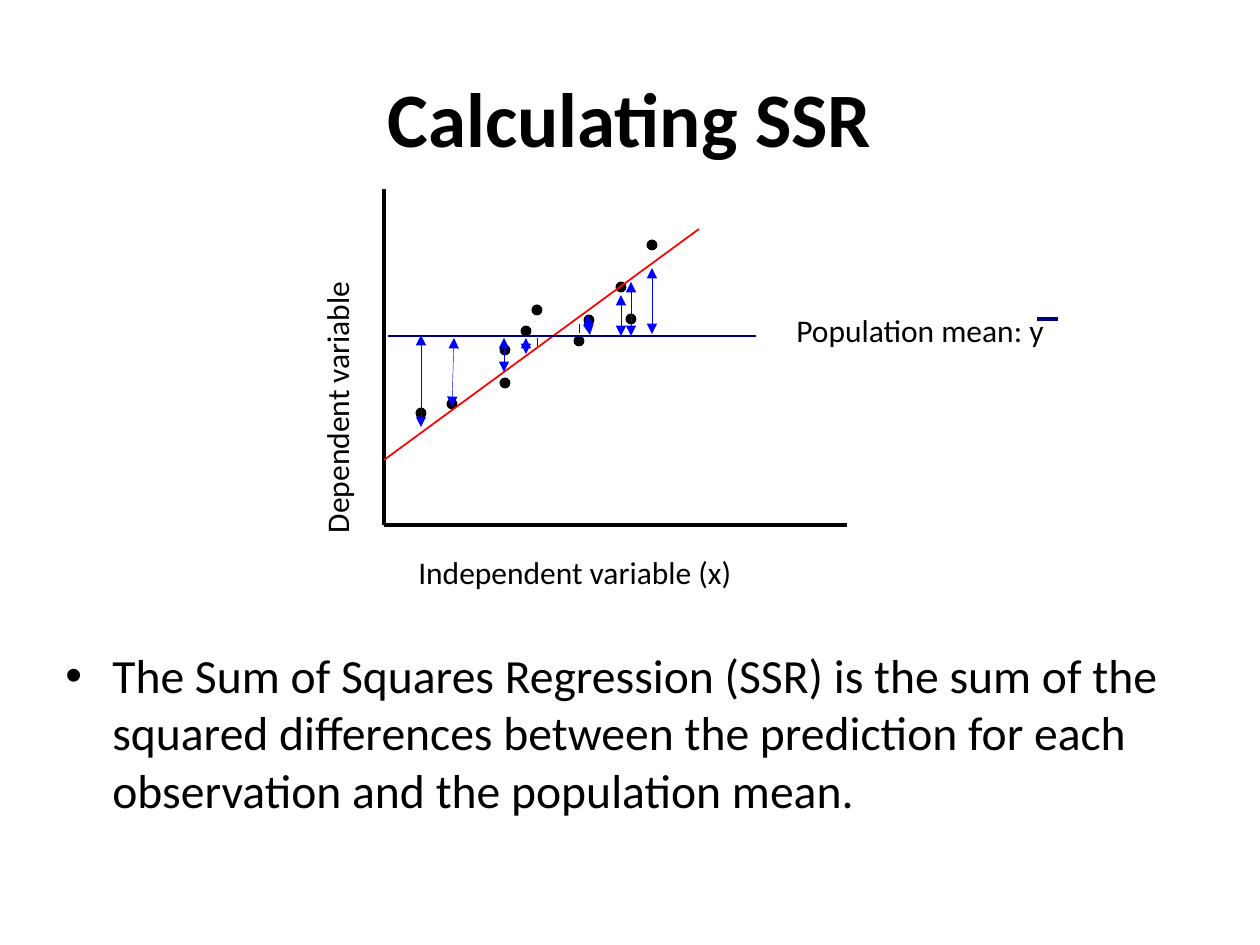
"""Build a slide that explains the Sum of Squares Regression with a scatter diagram."""
from dataclasses import dataclass

from lxml.etree import SubElement
from pptx import Presentation
from pptx.dml.color import RGBColor
from pptx.enum.shapes import MSO_CONNECTOR, MSO_SHAPE
from pptx.enum.text import MSO_ANCHOR, PP_ALIGN
from pptx.oxml.ns import qn
from pptx.util import Pt

SCALE = 914400 / 126
DOT_SIZE = 10
FONT = "Calibri"
COLORS = {"ink": "000000", "fit": "FF0000", "mean": "000080", "gap": "0000FF"}


@dataclass
class Label:
    text: str
    box: tuple[int, int, int, int]
    size: float = 18
    bold: bool = False
    wrap: bool = True
    rotation: int = 0
    align: PP_ALIGN = PP_ALIGN.LEFT
    anchor: MSO_ANCHOR = MSO_ANCHOR.TOP
    bullet_indent: int = 0


@dataclass
class Line:
    start: tuple[int, int]
    end: tuple[int, int]
    color: str
    width: float
    arrows: bool = False


def gap(x: int, top: int, bottom: int, shift: int = 0, arrows: bool = True) -> Line:
    return Line((x, top), (x + shift, bottom), "gap", 0.25, arrows)


TITLE = Label("Calculating SSR", (63, 38, 1134, 158), 44, bold=True,
              align=PP_ALIGN.CENTER, anchor=MSO_ANCHOR.MIDDLE)
BODY = Label("The Sum of Squares Regression (SSR) is the sum of the squared differences "
             "between the prediction for each observation and the population mean.",
             (53, 640, 1134, 168), 27.2, bullet_indent=47)
AXIS_LABELS = [
    Label("Independent variable (x)", (406, 547, 365, 50), wrap=False),
    Label("Dependent variable", (169, 353, 335, 50), rotation=270),
]
MEAN_LABEL = Label("Population mean: y", (784, 305, 276, 50), wrap=False)
AXES = [
    Line((384, 189), (384, 525), "ink", 2),
    Line((384, 525), (847, 525), "ink", 2),
]
OBSERVATIONS = [
    (505, 383), (452, 404), (526, 331), (579, 341), (537, 310), (589, 320),
    (631, 319), (621, 287), (505, 350), (421, 413), (652, 245),
]
FIT_AND_MEAN = [
    Line((384, 460), (699, 229), "fit", 1),
    Line((388, 336), (756, 336), "mean", 1.25),
    Line((1037, 319), (1058, 319), "mean", 2),
]
GAPS = [
    gap(652, 268, 334), gap(621, 295, 336), gap(526, 338, 354), gap(421, 335, 427),
    gap(454, 338, 407, shift=-2), gap(504, 338, 372), gap(631, 282, 336),
    gap(587, 315, 335, shift=3),
    gap(579, 324, 333, arrows=False), gap(537, 338, 346, arrows=False),
]


def px(length: int) -> int:
    return round(length * SCALE)


def color(name: str) -> RGBColor:
    return RGBColor.from_string(COLORS[name])


def add_label(page, label: Label) -> None:
    box = page.shapes.add_textbox(*map(px, label.box))
    box.rotation = label.rotation
    frame = box.text_frame
    frame.word_wrap = label.wrap
    frame.vertical_anchor = label.anchor
    frame.text = label.text
    para = frame.paragraphs[0]
    para.alignment = label.align
    font = para.runs[0].font
    font.name, font.size, font.bold = FONT, Pt(label.size), label.bold
    font.color.rgb = color("ink")
    if label.bullet_indent:
        para.space_before = Pt(5)
        properties = para._p.get_or_add_pPr()
        properties.set("marL", str(px(label.bullet_indent)))
        properties.set("indent", str(-px(label.bullet_indent)))
        SubElement(properties, qn("a:buFont"), typeface="Arial")
        SubElement(properties, qn("a:buChar"), char="•")


def add_line(page, line: Line) -> None:
    connector = page.shapes.add_connector(
        MSO_CONNECTOR.STRAIGHT, *map(px, line.start + line.end))
    connector.line.color.rgb = color(line.color)
    connector.line.width = Pt(line.width)
    if line.arrows:
        outline = connector.line._get_or_add_ln()
        for end in ("a:headEnd", "a:tailEnd"):
            SubElement(outline, qn(end), type="triangle")
    SubElement(connector._element.spPr, qn("a:effectLst"))


def add_dot(page, center: tuple[int, int]) -> None:
    left, top = (px(position - DOT_SIZE // 2) for position in center)
    dot = page.shapes.add_shape(MSO_SHAPE.OVAL, left, top, px(DOT_SIZE), px(DOT_SIZE))
    dot.shadow.inherit = False
    dot.fill.solid()
    dot.fill.fore_color.rgb = color("ink")
    dot.line.color.rgb = color("ink")
    dot.line.width = Pt(0.5)


def main() -> None:
    deck = Presentation()
    deck.slide_width, deck.slide_height = px(1260), px(945)
    page = deck.slides.add_slide(deck.slide_layouts[6])
    for label in [TITLE, BODY, *AXIS_LABELS]:
        add_label(page, label)
    for line in AXES:
        add_line(page, line)
    for center in OBSERVATIONS:
        add_dot(page, center)
    for line in FIT_AND_MEAN + GAPS:
        add_line(page, line)
    add_label(page, MEAN_LABEL)
    deck.save("out.pptx")


if __name__ == "__main__":
    main()
